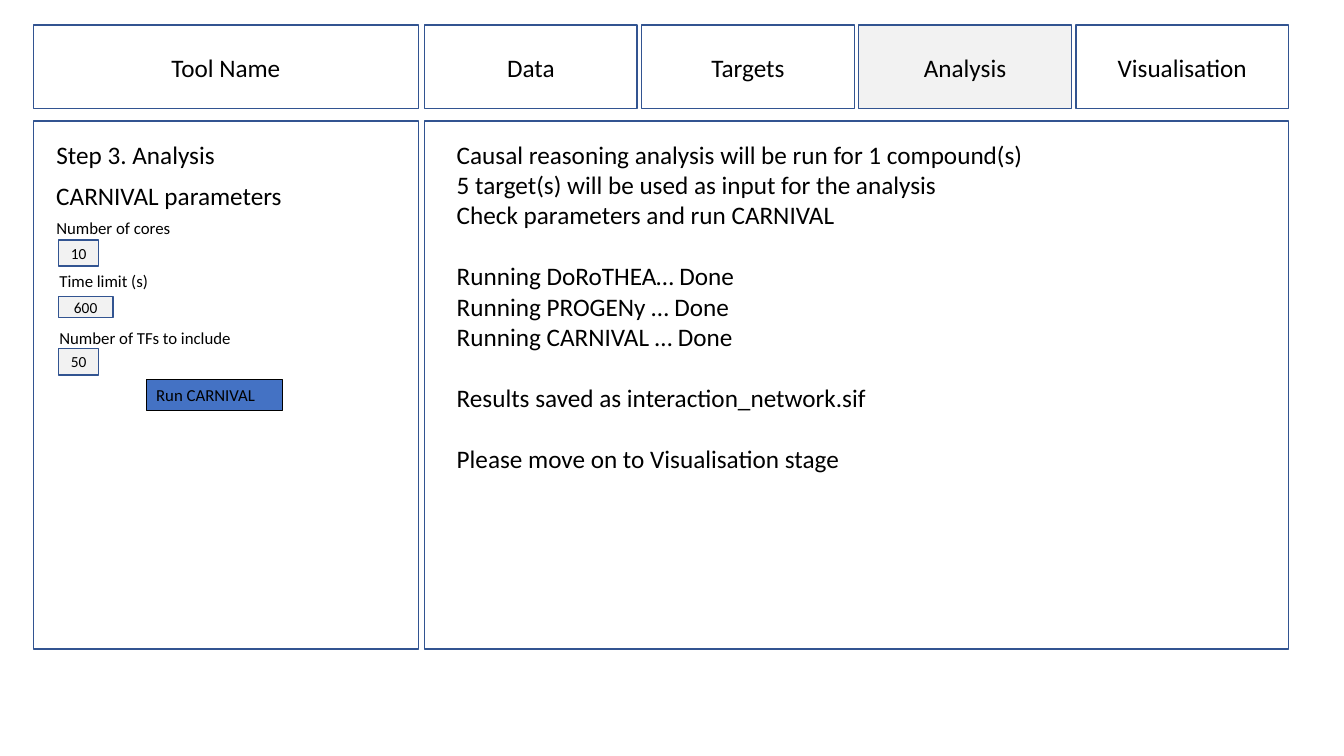
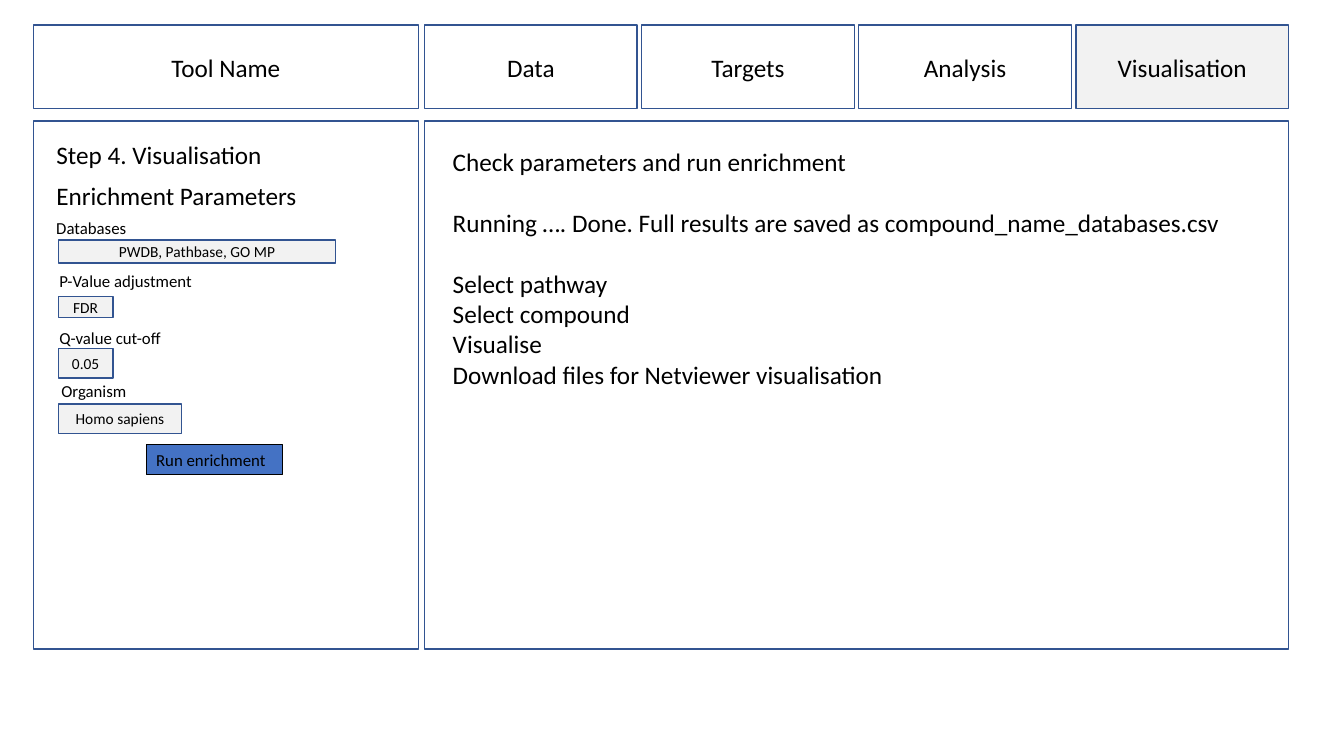
from pptx import Presentation
from pptx import util as u
from pptx.dml.color import RGBColor
from pptx.enum import shapes, text
from pptx.oxml.xmlchemy import OxmlElement

COLORS = {"ink": "000000", "edge": "325491", "pale": "F2F2F2",
          "white": "FFFFFF", "blue": "4472C4"}
FONT = "Calibri"
TABS = ["Data", "Targets", "Analysis", "Visualisation"]
LEFT, SPLIT, SIDE, MAIN, TAB = 0.33, 4.21, 3.82, 8.57, 2.11


def color(name):
    return RGBColor.from_string(COLORS[name])


class Deck:
    def __init__(self):
        self.prs = Presentation()
        self.prs.slide_width = u.Inches(13.33)
        self.prs.slide_height = u.Inches(7.5)

    def page(self, active):
        self.slide = self.prs.slides.add_slide(self.prs.slide_layouts[1])
        self.box((LEFT, 0.25, SIDE, 0.83), "Tool Name")
        step = (MAIN - TAB) / (len(TABS) - 1)
        for i, name in enumerate(TABS):
            fill = "pale" if name == active else None
            self.box((SPLIT + i * step, 0.25, TAB, 0.83), name, fill)
        self.box((LEFT, 1.2, SIDE, 5.24))
        self.box((SPLIT, 1.2, MAIN, 5.24), fill="white")

    def add_words(self, par, words, size):
        run = par.add_run()
        run.text = words
        run.font.size = u.Pt(size)
        run.font.name = FONT
        run.font.color.rgb = color("ink")

    def box(self, area, words="", fill=None, size=18, edge="edge", line=1):
        shape = self.slide.shapes.add_shape(
            shapes.MSO_SHAPE.RECTANGLE, *map(u.Inches, area))
        shape.shadow.inherit = False
        if fill:
            shape.fill.solid()
            shape.fill.fore_color.rgb = color(fill)
        else:
            shape.fill.background()
        shape.line.color.rgb = color(edge)
        shape.line.width = u.Pt(line)
        if words:
            frame = shape.text_frame
            frame.vertical_anchor = text.MSO_ANCHOR.MIDDLE
            par = frame.paragraphs[0]
            par.alignment = text.PP_ALIGN.CENTER
            self.add_words(par, words, size)
        return shape

    def button(self, top, words):
        frame = self.box((1.45, top, 1.35, 0.3), words, "blue", 12,
                         "ink", 0.75).text_frame
        frame.vertical_anchor = text.MSO_ANCHOR.TOP
        frame.paragraphs[0].alignment = text.PP_ALIGN.LEFT

    def label(self, area, words, size=12):
        box = self.slide.shapes.add_textbox(*map(u.Inches, area))
        box.text_frame.word_wrap = False
        box.text_frame.auto_size = text.MSO_AUTO_SIZE.SHAPE_TO_FIT_TEXT
        self.add_words(box.text_frame.paragraphs[0], words, size)

    def place(self, holder, area, wrap):
        holder.left, holder.top, holder.width, holder.height = map(
            u.Inches, area)
        self.slide.shapes._spTree.append(holder._element)
        frame = holder.text_frame
        frame.word_wrap = wrap
        frame.auto_size = text.MSO_AUTO_SIZE.NONE
        frame.vertical_anchor = text.MSO_ANCHOR.TOP
        return frame

    def title(self, words):
        frame = self.place(self.slide.shapes.title,
                           (0.46, 1.33, 3.56, 1.01), True)
        par = frame.paragraphs[0]
        par.alignment = text.PP_ALIGN.LEFT
        self.add_words(par, words, 18)

    def body(self, area, groups):
        frame = self.place(self.slide.placeholders[1], area, False)
        par = frame.paragraphs[0]
        for g, group in enumerate(groups):
            for i, words in enumerate(group):
                if g or i:
                    par = frame.add_paragraph()
                par.space_before = u.Pt(22 if g and not i else 0)
                props = par._p.get_or_add_pPr()
                props.set("marL", "0")
                props.set("indent", "0")
                props.append(OxmlElement("a:buNone"))
                self.add_words(par, words, 18)

    def field(self, name, place, value, area):
        left, top, wide = place
        self.label((left, top, wide, 0.3), name)
        self.box((0.58, *area), value, "pale", 11)


PAGES = [
    dict(tab="Analysis", title="Step 3. Analysis",
         head="CARNIVAL parameters", wide=2.46,
         area=(4.43, 1.33, 5.88, 3.43),
         body=[["Causal reasoning analysis will be run for 1 compound(s)",
                "5 target(s) will be used as input for the analysis",
                "Check parameters and run CARNIVAL"],
               ["Running DoRoTHEA… Done", "Running PROGENy … Done",
                "Running CARNIVAL … Done"],
               ["Results saved as interaction_network.sif"],
               ["Please move on to Visualisation stage"]],
         fields=[
             ("Number of cores", (0.46, 2.11, 1.35), "10", (2.38, 0.4, 0.26)),
             ("Time limit (s)", (0.49, 2.64, 1.09), "600", (2.94, 0.54, 0.21)),
             ("Number of TFs to include", (0.49, 3.2, 1.92), "50",
              (3.46, 0.4, 0.26))],
         run=(3.77, "Run CARNIVAL")),
    dict(tab="Visualisation", title="Step 4. Visualisation",
         head="Enrichment Parameters", wide=2.61,
         area=(4.39, 1.4, 7.89, 2.52),
         body=[["Check parameters and run enrichment"],
               ["Running …. Done. Full results are saved as "
                "compound_name_databases.csv"],
               ["Select pathway", "Select compound", "Visualise",
                "Download files for Netviewer visualisation"]],
         fields=[
             ("Databases", (0.46, 2.11, 0.9), "PWDB, Pathbase, GO MP",
              (2.38, 2.75, 0.23)),
             ("P-Value adjustment", (0.49, 2.64, 1.53), "FDR",
              (2.94, 0.54, 0.21)),
             ("Q-value cut-off", (0.49, 3.2, 1.22), "0.05",
              (3.46, 0.54, 0.29)),
             ("Organism", (0.51, 3.73, 0.85), "Homo sapiens",
              (4.01, 1.22, 0.29))],
         run=(4.41, "Run enrichment")),
]

deck = Deck()
for page in PAGES:
    deck.page(page["tab"])
    deck.title(page["title"])
    deck.label((0.46, 1.74, page["wide"], 0.4), page["head"], 18)
    deck.body(page["area"], page["body"])
    for row in page["fields"]:
        deck.field(*row)
    deck.button(*page["run"])
deck.prs.save("out.pptx")
